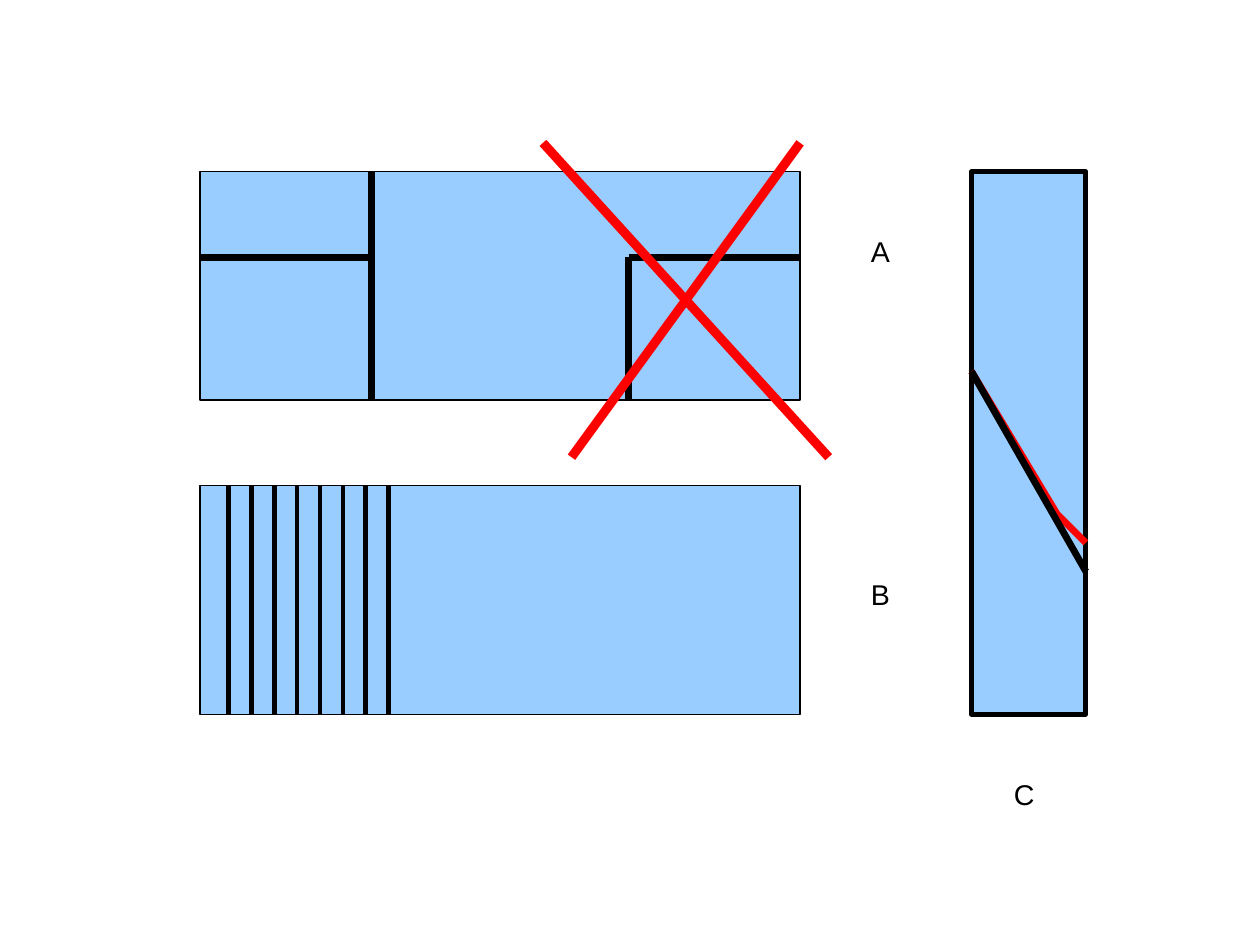
from dataclasses import dataclass

from lxml import etree
from pptx import Presentation, util as u
from pptx.dml.color import RGBColor
from pptx.enum import shapes, text
from pptx.oxml.ns import qn

BLUE, BLACK, RED = "99CCFF", "000000", "FF0000"
THIN, MEDIUM, THICK, CROSS = 0.75, 2.89, 4.31, 5.75


@dataclass
class Panel:
    x: float
    y: float
    w: float
    h: float
    weight: float = THIN


@dataclass
class Stroke:
    x1: float
    y1: float
    x2: float
    y2: float
    color: str = BLACK
    weight: float = THICK


@dataclass
class Label:
    letter: str
    x: float
    y: float
    h: float = 0.42


def grid(n: float) -> u.Length:
    """Turn a layout position in inches into a length."""
    return u.Cm(2.54 * n)


def rgb(color: str) -> RGBColor:
    return RGBColor.from_string(color)


def set_line(sp, color: str, weight: float) -> None:
    sp.line.color.rgb = rgb(color)
    sp.line.width = u.Pt(weight)


def add_panel(s, panel: Panel) -> None:
    sp = s.shapes.add_shape(shapes.MSO_SHAPE.RECTANGLE, grid(panel.x), grid(panel.y),
                            grid(panel.w), grid(panel.h))
    sp.shadow.inherit = False
    sp.fill.solid()
    sp.fill.fore_color.rgb = rgb(BLUE)
    set_line(sp, BLACK, panel.weight)


def add_stroke(s, st: Stroke) -> None:
    sp = s.shapes.add_connector(shapes.MSO_CONNECTOR.STRAIGHT, grid(st.x1), grid(st.y1),
                                grid(st.x2), grid(st.y2))
    set_line(sp, st.color, st.weight)
    etree.SubElement(sp._element.spPr, qn("a:effectLst"))


def add_polyline(s, points: list[tuple[float, float]], color: str, weight: float) -> None:
    start, *rest = [(grid(x), grid(y)) for x, y in points]
    builder = s.shapes.build_freeform(*start)
    builder.add_line_segments(rest, close=False)
    sp = builder.convert_to_shape()
    sp.shadow.inherit = False
    sp.fill.background()
    set_line(sp, color, weight)


def add_text(s, content: str, x: float, y: float, w: float, h: float, *, size: float = 18,
             font: str = "Arial", color: str = BLACK, spacing: float = 0.93) -> None:
    tf = s.shapes.add_textbox(grid(x), grid(y), grid(w), grid(h)).text_frame
    tf.word_wrap = True
    tf.vertical_anchor = text.MSO_ANCHOR.TOP
    tf.margin_left = tf.margin_right = grid(0.12)
    tf.margin_top = tf.margin_bottom = grid(0.07)
    p = tf.paragraphs[0]
    p.line_spacing = spacing
    r = p.add_run()
    r.text = content
    r.font.size = u.Pt(size)
    r.font.name = font
    r.font.color.rgb = rgb(color)


PANEL_A = Panel(1.75, 1.5, 5.25, 2)
PANEL_B = Panel(1.75, 4.25, 5.25, 2)
PANEL_C = Panel(8.5, 1.5, 1, 4.75, MEDIUM)

# Cuts in panel A, the right-hand pair crossed out in red
CUTS_A = [
    Stroke(3.25, 1.5, 3.25, 3.5),
    Stroke(1.75, 2.25, 3.25, 2.25),
    Stroke(5.5, 2.25, 5.5, 3.5),
    Stroke(5.5, 2.25, 7, 2.25),
    Stroke(4.75, 1.25, 7.25, 4, RED, CROSS),
    Stroke(7, 1.25, 5, 4, RED, CROSS),
]

# Eight evenly spaced slices in panel B
SLICES_B = [Stroke(2 + 0.2 * i, 4.25, 2 + 0.2 * i, 6.25, weight=MEDIUM) for i in range(8)]

LABELS = [Label("A", 7.5, 2, 0.5), Label("B", 7.5, 5), Label("C", 8.75, 6.75)]


def main() -> None:
    prs = Presentation()
    prs.slide_width, prs.slide_height = u.Cm(28), u.Cm(21)
    s = prs.slides.add_slide(prs.slide_layouts[6])

    # Front views
    for panel, strokes in ((PANEL_A, CUTS_A), (PANEL_B, SLICES_B)):
        add_panel(s, panel)
        for st in strokes:
            add_stroke(s, st)

    # Side view with the bent and the straight cut
    add_panel(s, PANEL_C)
    add_polyline(s, [(8.5, 3.25), (9.25, 4.5), (9.5, 4.75)], RED, THICK)
    add_stroke(s, Stroke(8.5, 3.25, 9.5, 5))

    # Letters
    for label in LABELS:
        add_text(s, label.letter, label.x, label.y, 0.75, label.h)

    prs.save("out.pptx")


if __name__ == "__main__":
    main()
